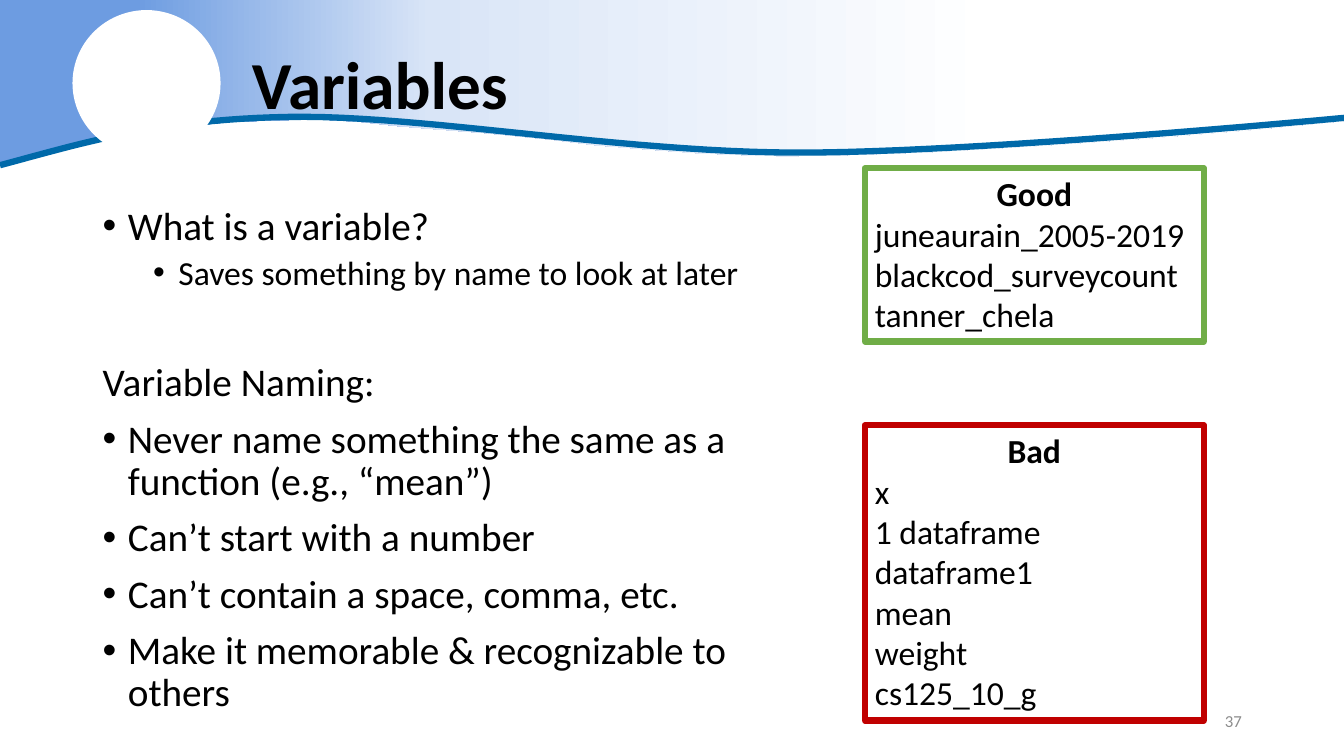
from copy import deepcopy
from pptx import Presentation
from pptx.dml.color import RGBColor
from pptx.enum.shapes import MSO_SHAPE
from pptx.enum.text import MSO_ANCHOR, MSO_AUTO_SIZE, PP_ALIGN
from pptx.oxml.ns import qn
from pptx.util import Pt
from lxml.etree import SubElement

BLACK = RGBColor(0x00, 0x00, 0x00)
WHITE = RGBColor(0xFF, 0xFF, 0xFF)
GRAY = RGBColor(0x8C, 0x8C, 0x8C)
BLUE = RGBColor(0x00, 0x69, 0xA9)
GREEN = RGBColor(0x70, 0xAD, 0x47)
RED = RGBColor(0xC0, 0x00, 0x00)
SKY = [(0.10, RGBColor(0x6D, 0x9C, 0xE1)),
       (0.32, RGBColor(0xD9, 0xE5, 0xF7)),
       (0.74, WHITE)]

# Content
TITLE = "Variables"
NUMBER = "37"
# text, size, left margin, bulleted, space before
POINTS = [
    ("What is a variable?", 28, 18, True, 0),
    ("Saves something by name to look at later", 24, 54, True, 5),
    ("Variable Naming:", 28, 0, False, 50.5),
    ("Never name something the same as a function (e.g., “mean”)", 28, 18, True, 10),
    ("Can’t start with a number", 28, 18, True, 10),
    ("Can’t contain a space, comma, etc.", 28, 18, True, 10),
    ("Make it memorable & recognizable to others", 28, 18, True, 10),
]
# heading, names, frame colour, top, height
CARDS = [
    ("Good", ["juneaurain_2005-2019", "blackcod_surveycount", "tanner_chela"],
     GREEN, 120.2, 123.8),
    ("Bad", ["x", "1 dataframe", "dataframe1", "mean", "weight", "cs125_10_g"],
     RED, 303.8, 211),
]

# Header outlines, in points
WIDE, HIGH = 960, 540
EDGE = [(WIDE, 86.4), (892, 93), (823, 98.6), (739, 104.4), (664, 108.7),
        (600, 110.9), (561, 111.6), (534, 110.9), (498, 109.4), (461, 106.6),
        (425.5, 103.7), (391, 99.4), (346, 95), (310, 92.2), (284, 90),
        (258, 87.1), (235, 85.7), (207, 85.7), (184, 86.4), (164, 87.1),
        (137, 90), (114.5, 92.9), (98, 95), (81, 98), (62, 102.2),
        (46, 105), (32, 108.7), (14, 113.8), (0, 118.8)]
CURVES = [[(0, 118), (54, 103.7), (111.6, 85), (206.6, 83.5)],
          [(206.6, 83.5), (301.7, 82), (442.8, 108.7), (568.8, 109)],
          [(568.8, 109), (694, 109.4), (WIDE, 84.2), (WIDE, 84.2)]]

deck = Presentation()
deck.slide_width, deck.slide_height = Pt(WIDE), Pt(HIGH)
slide = deck.slides.add_slide(deck.slide_layouts[1])
shapes = slide.shapes


def style(item, **values):
    for name, value in values.items():
        setattr(item, name, value)


def place(shape, left, top, width, height):
    style(shape, left=Pt(left), top=Pt(top), width=Pt(width), height=Pt(height))


def write(para, text, size, color=BLACK, bold=False):
    run = para.add_run()
    run.text = text
    style(run.font, name="Calibri", size=Pt(size), bold=bold)
    run.font.color.rgb = color


def trace(dots, close):
    dots = [(Pt(x), Pt(y)) for x, y in dots]
    pen = shapes.build_freeform(*dots[0], scale=1.0)
    pen.add_line_segments(dots[1:], close=close)
    shape = pen.convert_to_shape()
    shape.shadow.inherit = False
    return shape


def bend(curve, steps=24):
    for i in range(steps + 1):
        t = i / steps
        parts = ((1 - t) ** 3, 3 * t * (1 - t) ** 2, 3 * t * t * (1 - t), t ** 3)
        yield tuple(sum(w * dot[k] for w, dot in zip(parts, curve)) for k in (0, 1))


# Gradient band
band = trace([(0, 0), (WIDE, 0)] + EDGE, True)
band.line.fill.background()
band.fill.gradient()
band.fill.gradient_angle = 0
stops = band.element.spPr.find(qn("a:gradFill")).find(qn("a:gsLst"))
stops.append(deepcopy(stops[-1]))
for stop, (place_at, color) in zip(band.fill.gradient_stops, SKY):
    stop.position = place_at
    stop.color.rgb = color

# Wave line and white disc
wave = trace([dot for curve in CURVES for dot in bend(curve)], False)
wave.fill.background()
wave.line.color.rgb = BLUE
wave.line.width = Pt(4.5)
disc = shapes.add_shape(MSO_SHAPE.OVAL, Pt(51.8), Pt(7.2), Pt(105.8), Pt(104.4))
disc.shadow.inherit = False
disc.fill.solid()
disc.fill.fore_color.rgb = WHITE
disc.line.fill.background()

# Title and body, in front of the header
title, body = shapes.title, slide.placeholders[1]
for holder in (title, body):
    shapes.element.append(holder.element)
    style(holder.text_frame, word_wrap=True, auto_size=MSO_AUTO_SIZE.NONE)
place(title, 172.8, 14.4, 721.4, 96.5)
title.text_frame.vertical_anchor = MSO_ANCHOR.MIDDLE
head = title.text_frame.paragraphs[0]
style(head, alignment=PP_ALIGN.LEFT, line_spacing=0.9)
write(head, TITLE, 48, bold=True)

place(body, 66.2, 144, 486.7, 385.2)
for i, (text, size, margin, dotted, gap) in enumerate(POINTS):
    para = body.text_frame.paragraphs[0] if i == 0 else body.text_frame.add_paragraph()
    props = para._p.get_or_add_pPr()
    props.set("marL", str(Pt(margin)))
    props.set("indent", str(Pt(-18 if dotted else 0)))
    if dotted:
        SubElement(props, qn("a:buFont")).set("typeface", "Arial")
        SubElement(props, qn("a:buChar")).set("char", "•")
    else:
        SubElement(props, qn("a:buNone"))
    style(para, level=int(margin > 18), line_spacing=0.9, space_before=Pt(gap))
    write(para, text, size)

# Slide number
foot = shapes.add_textbox(Pt(678.2), Pt(500.4), Pt(216), Pt(28.8)).text_frame
style(foot, word_wrap=True, vertical_anchor=MSO_ANCHOR.MIDDLE)
foot.paragraphs[0].alignment = PP_ALIGN.RIGHT
write(foot.paragraphs[0], NUMBER, 12, GRAY)

# Good and bad names
for label, names, color, top, height in CARDS:
    card = shapes.add_shape(MSO_SHAPE.RECTANGLE, Pt(617.8), Pt(top), Pt(242), Pt(height))
    card.shadow.inherit = False
    card.fill.background()
    card.line.color.rgb = color
    card.line.width = Pt(4.5)
    frame = card.text_frame
    style(frame, word_wrap=True, vertical_anchor=MSO_ANCHOR.TOP)
    frame.paragraphs[0].alignment = PP_ALIGN.CENTER
    write(frame.paragraphs[0], label, 24, bold=True)
    for name in names:
        para = frame.add_paragraph()
        para.alignment = PP_ALIGN.LEFT
        write(para, name, 24)

deck.save("out.pptx")
